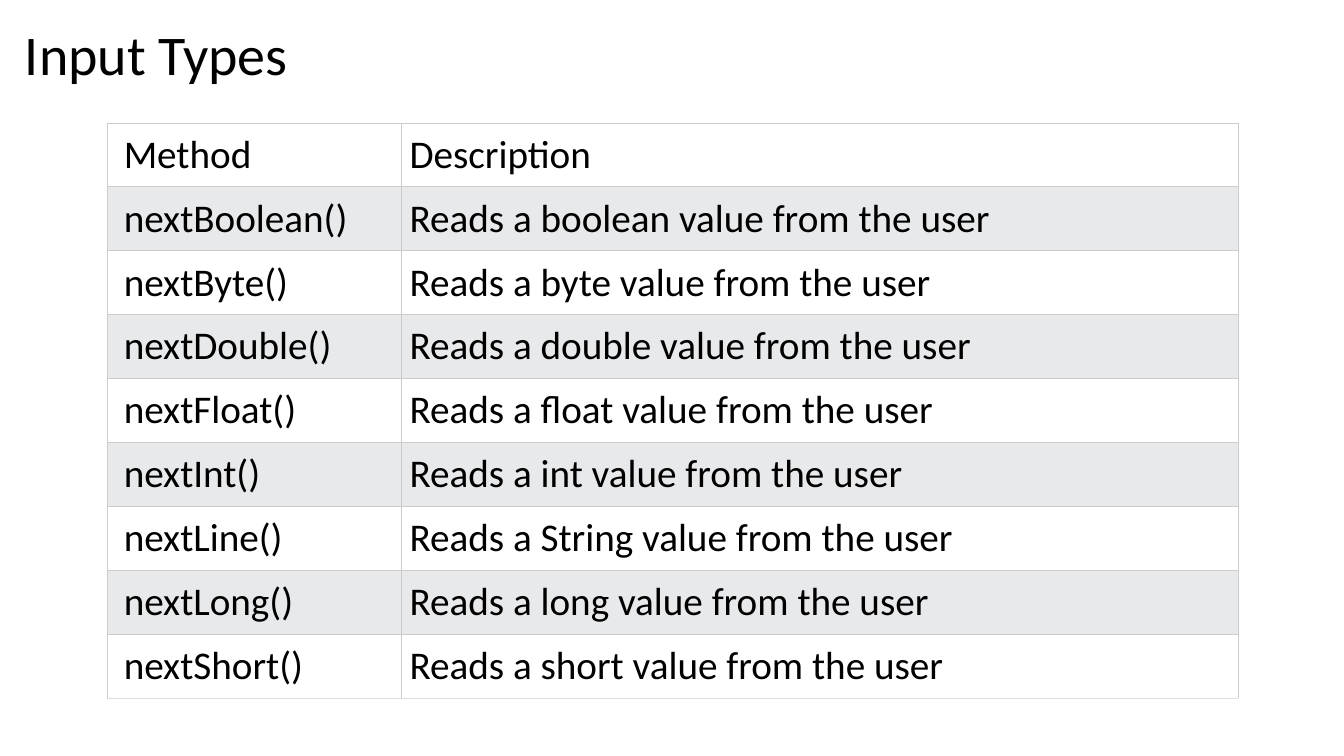
from typing import NamedTuple

from lxml.etree import SubElement
from pptx import Presentation
from pptx.dml.color import RGBColor
from pptx.enum.text import MSO_AUTO_SIZE
from pptx.oxml.ns import qn
from pptx.util import Cm, Pt

FONT = "Calibri"
COLORS = {
    "text": "000000",
    "plain": "FFFFFF",
    "band": "E7E9EB",
    "border": "CCCCCC",
    "bottom": "DDDDDD",
}
COL_WIDTHS = (7.42, 21.08)
LEFT_INSETS = (0.42, 0.2)
ROW_HEIGHT = 1.61


class Row(NamedTuple):
    method: str
    description: str


def reader(name: str, value_type: str) -> Row:
    """Row for one scanner method; the value type sits between no-break spaces."""
    return Row(f"next{name}()", f"Reads a {value_type} value from the user")


ROWS = [
    Row("Method", "Description"),
    reader("Boolean", "boolean"),
    reader("Byte", "byte"),
    reader("Double", "double"),
    reader("Float", "float"),
    reader("Int", "int"),
    reader("Line", "String"),
    reader("Long", "long"),
    reader("Short", "short"),
]


def format_text(tf, size: int) -> None:
    for r in tf.paragraphs[0].runs:
        r.font.name = FONT
        r.font.size = Pt(size)
        r.font.color.rgb = RGBColor.from_string(COLORS["text"])


def set_borders(cell, bottom: str) -> None:
    """Draw all four cell borders; call before the fill is set."""
    tc_pr = cell._tc.get_or_add_tcPr()
    for side in ("L", "R", "T", "B"):
        ln = SubElement(tc_pr, qn(f"a:ln{side}"), w=str(Pt(0.75)))
        fill = SubElement(ln, qn("a:solidFill"))
        color = bottom if side == "B" else COLORS["border"]
        SubElement(fill, qn("a:srgbClr"), val=color)


def add_title(s, text: str) -> None:
    tf = s.shapes.add_textbox(Cm(0.38), Cm(0.38), Cm(7.21), Cm(1.96)).text_frame
    tf.word_wrap = False
    tf.auto_size = MSO_AUTO_SIZE.SHAPE_TO_FIT_TEXT
    tf.text = text
    format_text(tf, 40)


def add_method_table(s, rows: list[Row]) -> None:
    table = s.shapes.add_table(
        len(rows), len(COL_WIDTHS), Cm(2.7), Cm(3.1),
        Cm(sum(COL_WIDTHS)), Cm(ROW_HEIGHT * len(rows)),
    ).table
    table.first_row = table.horz_banding = False
    for column, width in zip(table.columns, COL_WIDTHS):
        column.width = Cm(width)
    for i, row in enumerate(rows):
        table.rows[i].height = Cm(ROW_HEIGHT)
        bottom = COLORS["bottom" if i == len(rows) - 1 else "border"]
        background = COLORS["band" if i % 2 else "plain"]
        for j, text in enumerate(row):
            cell = table.cell(i, j)
            cell.margin_left = Cm(LEFT_INSETS[j])
            cell.margin_right = cell.margin_top = cell.margin_bottom = Cm(0.2)
            set_borders(cell, bottom)
            cell.fill.solid()
            cell.fill.fore_color.rgb = RGBColor.from_string(background)
            cell.text_frame.text = text
            format_text(cell.text_frame, 28)


def main() -> None:
    prs = Presentation()
    prs.slide_width, prs.slide_height = Cm(33.87), Cm(19.05)
    s = prs.slides.add_slide(prs.slide_layouts[6])
    add_title(s, "Input Types")
    add_method_table(s, ROWS)
    prs.save("out.pptx")


if __name__ == "__main__":
    main()
